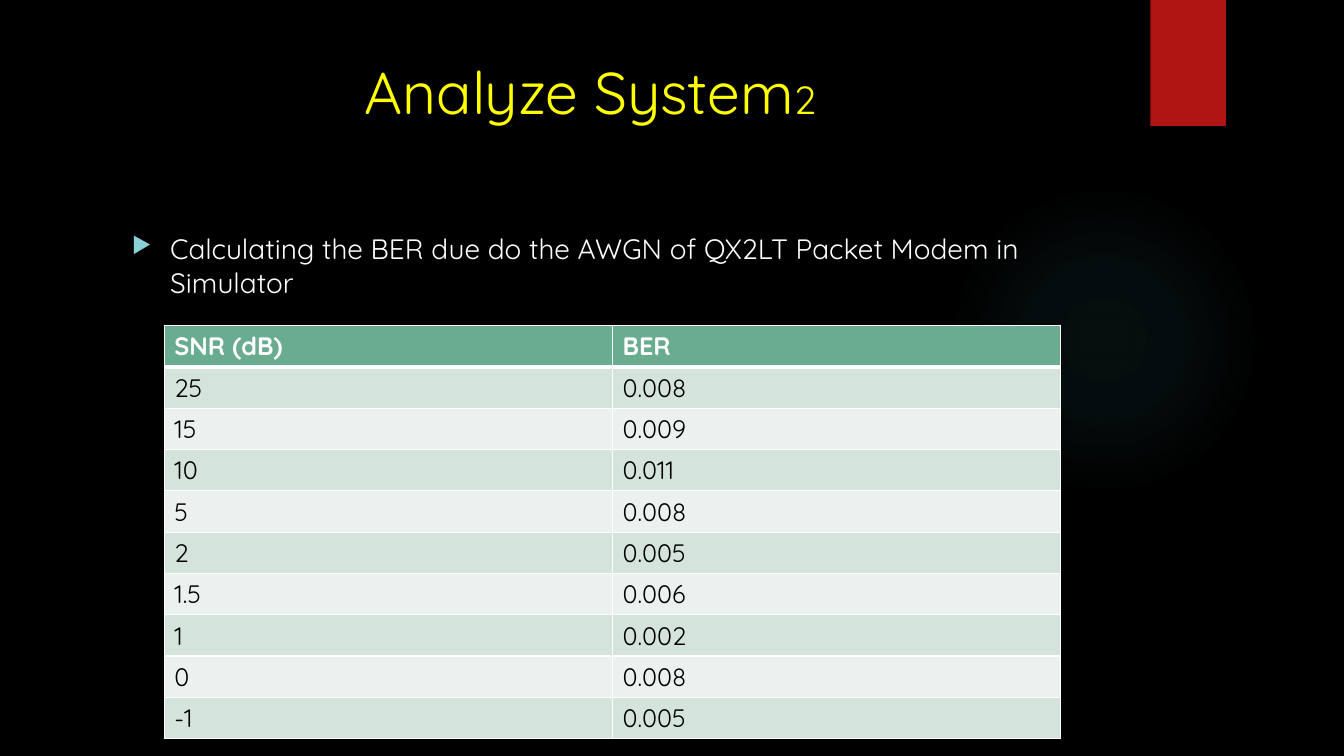
from lxml.etree import SubElement
from pptx import Presentation
from pptx.dml.color import RGBColor
from pptx.enum.shapes import MSO_SHAPE
from pptx.enum.text import MSO_ANCHOR, PP_ALIGN
from pptx.oxml import parse_xml
from pptx.oxml.ns import nsdecls, qn
from pptx.util import Inches, Pt

FONT = "Quicksand"
BLACK = RGBColor(0x00, 0x00, 0x00)
WHITE = RGBColor(0xFF, 0xFF, 0xFF)
YELLOW = RGBColor(0xFF, 0xFF, 0x00)
RED = RGBColor(0xB0, 0x15, 0x13)
TEAL = RGBColor(0x50, 0xB9, 0xC1)
AQUA = RGBColor(0x8A, 0xD0, 0xD6)
GREEN = RGBColor(0x6A, 0xAC, 0x90)
BANDS = (RGBColor(0xEB, 0xF1, 0xEE), RGBColor(0xD4, 0xE3, 0xDB))

MEASUREMENTS = [
    ("SNR (dB)", "BER"),
    ("25", "0.008"),
    ("15", "0.009"),
    ("10", "0.011"),
    ("5", "0.008"),
    ("2", "0.005"),
    ("1.5", "0.006"),
    ("1", "0.002"),
    ("0", "0.008"),
    ("-1", "0.005"),
]


def set_font(font, size, color, bold=False):
    """Apply the slide's typeface with a size, colour and weight."""
    font.name, font.size, font.bold = FONT, Pt(size), bold
    font.color.rgb = color


def add_plain_shape(slide, preset, box):
    """Add a preset shape without outline or shadow."""
    shape = slide.shapes.add_shape(preset, *map(Inches, box))
    shape.shadow.inherit = False
    shape.line.fill.background()
    return shape


def add_text_frame(slide, box):
    """Add a wrapping, top-anchored text box and return its frame."""
    frame = slide.shapes.add_textbox(*map(Inches, box)).text_frame
    frame.word_wrap = True
    frame.vertical_anchor = MSO_ANCHOR.TOP
    return frame


def add_glow(slide, box):
    """Add the faint round glow that fades out from its centre."""
    glow = add_plain_shape(slide, MSO_SHAPE.OVAL, box)
    stops = "".join(
        f'<a:gs pos="{place * 1000}"><a:srgbClr val="{TEAL}">'
        f'<a:alpha val="{alpha * 1000}"/></a:srgbClr></a:gs>'
        for place, alpha in ((0, 7), (36, 6), (69, 0), (100, 0))
    )
    gradient = parse_xml(
        f'<a:gradFill {nsdecls("a")} rotWithShape="1"><a:gsLst>{stops}</a:gsLst>'
        '<a:path path="circle"><a:fillToRect l="50000" t="50000" r="50000" b="50000"/>'
        "</a:path></a:gradFill>"
    )
    glow.element.spPr.find(qn("a:prstGeom")).addnext(gradient)


def add_ribbon(slide, box):
    """Add the red ribbon with a soft shadow below it."""
    ribbon = add_plain_shape(slide, MSO_SHAPE.RECTANGLE, box)
    ribbon.fill.solid()
    ribbon.fill.fore_color.rgb = RED
    effects = ribbon.element.spPr.find(qn("a:effectLst"))
    effects.append(parse_xml(
        f'<a:outerShdw {nsdecls("a")} blurRad="{Pt(3)}" dist="{Pt(2)}" dir="5400000" '
        f'rotWithShape="0"><a:srgbClr val="{BLACK}"><a:alpha val="45000"/></a:srgbClr>'
        "</a:outerShdw>"
    ))


def add_title(slide, box):
    """Add the centred title with its smaller number."""
    title = add_text_frame(slide, box).paragraphs[0]
    title.alignment = PP_ALIGN.CENTER
    for words, size in (("Analyze System", 42), ("2", 28)):
        run = title.add_run()
        run.text = words
        set_font(run.font, size, YELLOW)


def add_statement(slide, box):
    """Add the bulleted statement above the table."""
    statement = add_text_frame(slide, box).paragraphs[0]
    statement.text = "Calculating the BER due do the AWGN of QX2LT Packet Modem in Simulator"
    statement.space_before = Pt(10)
    props = statement._p.get_or_add_pPr()
    props.set("marL", str(Inches(0.38)))
    props.set("indent", str(Inches(-0.38)))
    SubElement(SubElement(props, qn("a:buClr")), qn("a:srgbClr"), val=str(AQUA))
    SubElement(props, qn("a:buSzPct"), val="80000")
    SubElement(props, qn("a:buChar"), char="▶")
    set_font(statement.font, 20, WHITE)


def set_borders(cell, bottom_width):
    """Draw white borders around a cell."""
    props = cell._tc.get_or_add_tcPr()
    widths = {"lnL": 1, "lnR": 1, "lnT": 1, "lnB": bottom_width}
    for place, (side, width) in enumerate(widths.items()):
        props.insert(place, parse_xml(
            f'<a:{side} {nsdecls("a")} w="{Pt(width)}"><a:solidFill>'
            f'<a:srgbClr val="{WHITE}"/></a:solidFill></a:{side}>'
        ))


def add_measurements(slide, box):
    """Add the table of error rates with a header and banded rows."""
    table = slide.shapes.add_table(len(MEASUREMENTS), 2, *map(Inches, box)).table
    table.first_row = table.horz_banding = False
    for i, values in enumerate(MEASUREMENTS):
        header = i == 0
        for j, value in enumerate(values):
            cell = table.cell(i, j)
            cell.text = value
            cell.fill.solid()
            cell.fill.fore_color.rgb = GREEN if header else BANDS[i % 2]
            set_font(cell.text_frame.paragraphs[0].font, 18, WHITE if header else BLACK, header)
            set_borders(cell, 3 if header else 1)


def build_slide(presentation):
    """Build the slide on a black background."""
    slide = presentation.slides.add_slide(presentation.slide_layouts[6])
    slide.background.fill.solid()
    slide.background.fill.fore_color.rgb = BLACK
    add_glow(slide, (9.41, 1.83, 3.08, 3.08))
    add_ribbon(slide, (11.41, 0, 0.75, 1.25))
    add_title(slide, (0.71, 0.5, 10.29, 1.53))
    add_statement(slide, (1.21, 2.25, 9.78, 4.59))
    add_measurements(slide, (1.63, 3.23, 8.89, 4.1))


def main():
    """Create and save the presentation."""
    presentation = Presentation()
    presentation.slide_width, presentation.slide_height = Inches(13.33), Inches(7.5)
    build_slide(presentation)
    presentation.save("out.pptx")


if __name__ == "__main__":
    main()
